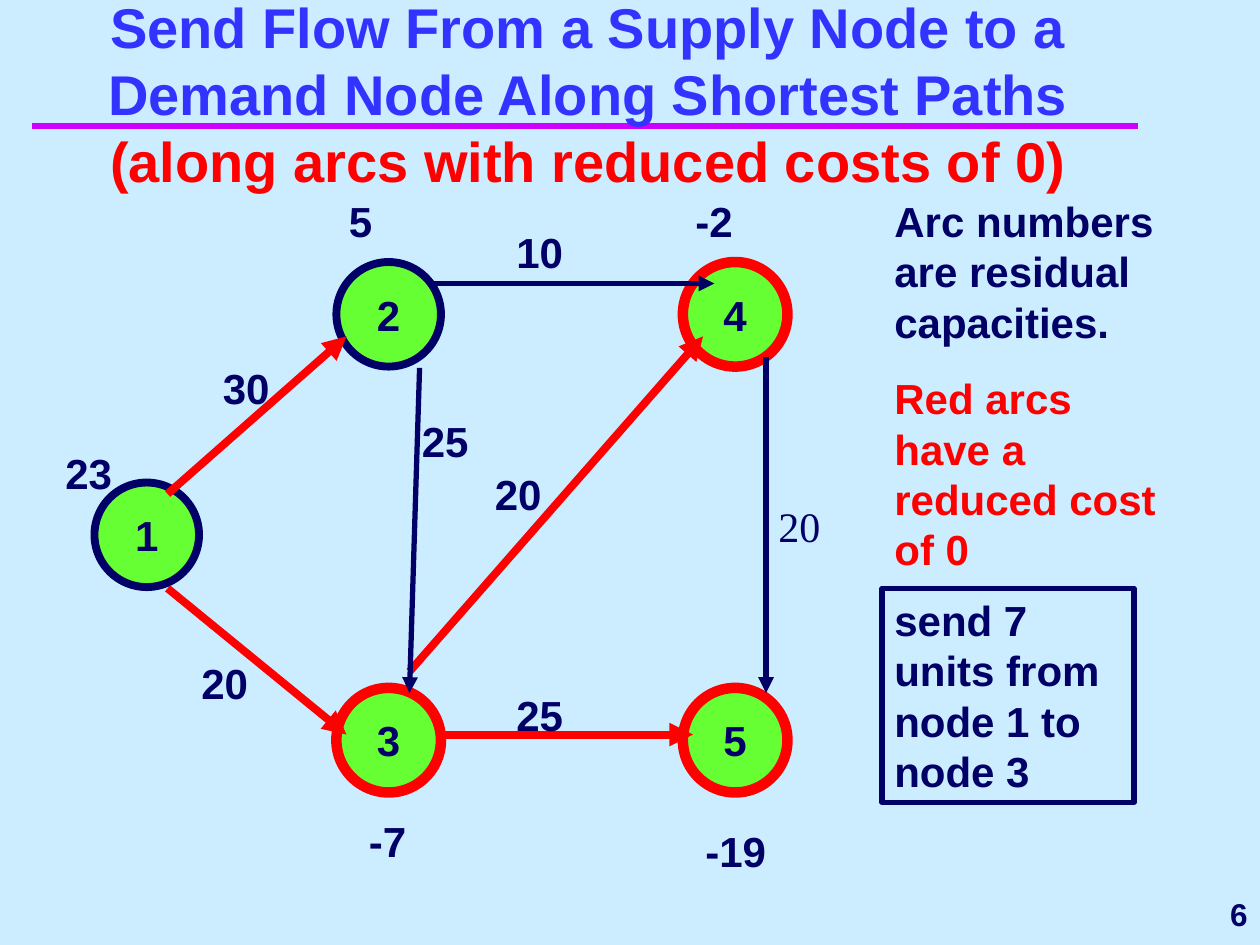
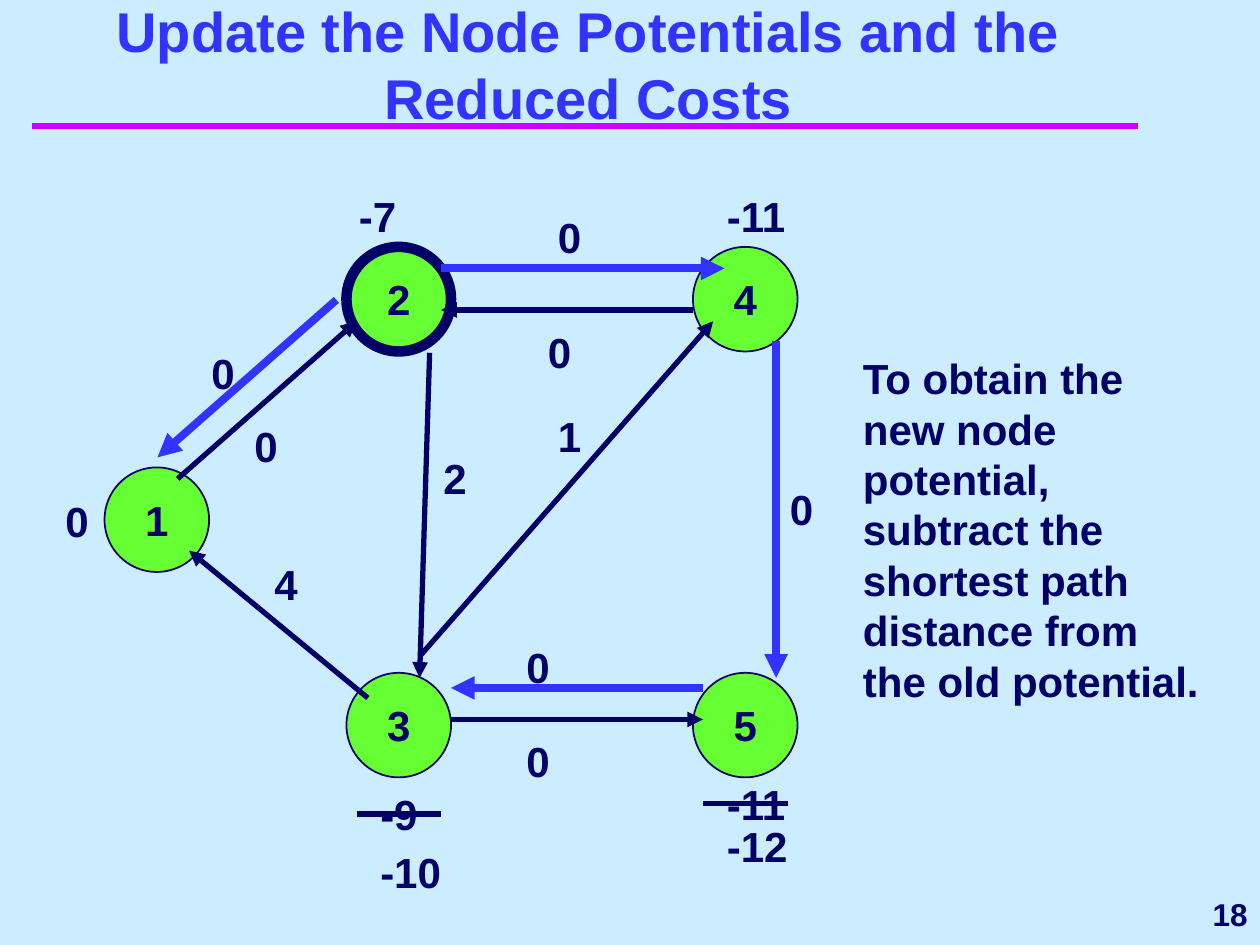
from dataclasses import dataclass

from lxml import etree
from pptx import Presentation
from pptx.dml.color import RGBColor
from pptx.enum import shapes, text
from pptx.oxml import ns
from pptx.util import Inches, Pt

COLORS = {
    "background": "CCECFF",
    "band": "CC00FF",
    "blue": "3333FF",
    "navy": "000066",
    "red": "FF0000",
    "green": "66FF33",
}
FONT = "Arial"
NODE_SIZE = 0.83
LABEL_HEIGHT = 0.5

# The network layout shared by both slides: node corners and arc ends
NODE_PLACES = {1: (0.75, 3.83), 2: (2.67, 2.08), 3: (2.67, 5.46),
               5: (5.42, 5.46), 4: (5.42, 2.08)}
ARC_PLACES = {
    (1, 2): (1.33, 3.92, 2.75, 2.67),
    (2, 4): (3.42, 2.25, 5.67, 2.25),
    (4, 5): (6.08, 2.83, 6.08, 5.5),
    (3, 4): (3.25, 5.33, 5.58, 2.67),
    (1, 3): (1.33, 4.67, 2.75, 5.83),
    (3, 5): (3.5, 5.83, 5.5, 5.83),
    (2, 3): (3.33, 2.92, 3.25, 5.5),
}


@dataclass
class Run:
    words: str
    color: str = "navy"


@dataclass
class Label:
    words: str
    left: float
    top: float
    width: float = 1.17
    font: str = FONT
    bold: bool = True


@dataclass
class Node:
    number: int
    color: str = "navy"
    weight: float = 1


@dataclass
class Line:
    ends: tuple[float, float, float, float]
    color: str = "navy"
    weight: float = 3
    arrow: bool = True


def rgb(name: str) -> RGBColor:
    return RGBColor.from_string(COLORS[name])


def shifted(ends: tuple, dx: float, dy: float) -> tuple:
    left, top, right, bottom = ends
    return left + dx, top + dy, right + dx, bottom + dy


def set_font(font, size: float, color: str, name: str = FONT, bold: bool = True) -> None:
    font.name, font.size, font.bold = name, Pt(size), bold
    font.color.rgb = rgb(color)


def draw_line(slide, line: Line) -> None:
    connector = slide.shapes.add_connector(
        shapes.MSO_CONNECTOR.STRAIGHT, *map(Inches, line.ends))
    connector.line.color.rgb = rgb(line.color)
    connector.line.width = Pt(line.weight)
    if line.arrow:
        etree.SubElement(connector.line._get_or_add_ln(), ns.qn("a:tailEnd"), type="triangle")
    etree.SubElement(connector._element.spPr, ns.qn("a:effectLst"))


def draw_node(slide, node: Node, dx: float, dy: float) -> None:
    left, top = NODE_PLACES[node.number]
    shape = slide.shapes.add_shape(
        shapes.MSO_SHAPE.OVAL, Inches(left + dx), Inches(top + dy),
        Inches(NODE_SIZE), Inches(NODE_SIZE))
    shape.shadow.inherit = False
    shape.fill.solid()
    shape.fill.fore_color.rgb = rgb("green")
    shape.line.color.rgb = rgb(node.color)
    shape.line.width = Pt(node.weight)
    frame = shape.text_frame
    frame.word_wrap = False
    frame.vertical_anchor = text.MSO_ANCHOR.MIDDLE
    paragraph = frame.paragraphs[0]
    paragraph.text = str(node.number)
    paragraph.alignment = text.PP_ALIGN.CENTER
    set_font(paragraph.font, 24, "navy")


def add_box(slide, left: float, top: float, width: float, height: float):
    box = slide.shapes.add_textbox(*map(Inches, (left, top, width, height)))
    box.text_frame.word_wrap = True
    return box


def draw_label(slide, label: Label) -> None:
    frame = add_box(slide, label.left, label.top, label.width, LABEL_HEIGHT).text_frame
    frame.auto_size = text.MSO_AUTO_SIZE.SHAPE_TO_FIT_TEXT
    paragraph = frame.paragraphs[0]
    paragraph.text = label.words
    set_font(paragraph.font, 24, "navy", label.font, label.bold)


def draw_note(slide, place: tuple, notes: list[Run], framed: bool = False) -> None:
    box = add_box(slide, *place)
    if framed:
        box.line.color.rgb = rgb("navy")
        box.line.width = Pt(3)
    frame = box.text_frame
    frame.auto_size = text.MSO_AUTO_SIZE.SHAPE_TO_FIT_TEXT
    for index, note in enumerate(notes):
        paragraph = frame.add_paragraph() if index else frame.paragraphs[0]
        if index:
            paragraph.space_before = Pt(15)
        paragraph.text = note.words
        set_font(paragraph.font, 24, note.color)


def start_slide(presentation, title: list[Run], title_top: float, number: int):
    slide = presentation.slides.add_slide(presentation.slide_layouts[6])
    draw_line(slide, Line((0.25, 1, 9.03, 1), "band", 4, arrow=False))

    # Page number
    frame = add_box(slide, 8.08, 7, 1.92, 0.5).text_frame
    frame.vertical_anchor = text.MSO_ANCHOR.MIDDLE
    paragraph = frame.paragraphs[0]
    paragraph.text = str(number)
    paragraph.alignment = text.PP_ALIGN.RIGHT
    set_font(paragraph.font, 18, "navy")

    # Title, growing upwards from its bottom edge
    frame = add_box(slide, 0.42, title_top, 8.5, 0.42).text_frame
    frame.vertical_anchor = text.MSO_ANCHOR.BOTTOM
    paragraph = frame.paragraphs[0]
    paragraph.alignment = text.PP_ALIGN.CENTER
    for part in title:
        run = paragraph.add_run()
        run.text = part.words
        set_font(run.font, 32, part.color)
    return slide


def draw_network(slide, nodes: list[Node], lines: list[Line], labels: list[Label],
                 dx: float = 0, dy: float = 0) -> None:
    for node in nodes:
        draw_node(slide, node, dx, dy)
    for line in lines:
        draw_line(slide, line)
    for label in labels:
        draw_label(slide, label)


def build_flow_slide(presentation) -> None:
    slide = start_slide(presentation, [
        Run("Send Flow From a Supply Node to a Demand Node Along Shortest Paths", "blue"),
        Run(" (along arcs with reduced costs of 0)", "red"),
    ], 1.17, 6)
    nodes = [Node(number, "navy", 4.5) if number in (1, 2) else Node(number, "red", 6)
             for number in NODE_PLACES]
    zero_cost_arcs = {(1, 2), (3, 4), (1, 3), (3, 5)}
    lines = [Line(ends, "red", 4.5) if arc in zero_cost_arcs else Line(ends)
             for arc, ends in ARC_PLACES.items()]
    capacities = [
        Label("10", 4, 1.75),
        Label("20", 6.08, 3.92, font="Times New Roman", bold=False),
        Label("20", 3.83, 3.67),
        Label("25", 4, 5.42),
        Label("25", 3.25, 3.25),
        Label("20", 1.5, 5.17, 0.67),
        Label("30", 1.67, 2.83),
    ]
    supplies = [Label(words, left, top, 0.75) for words, left, top in (
        ("23", 0.42, 3.5), ("5", 2.67, 1.5), ("-2", 5.42, 1.5),
        ("-7", 2.83, 6.42), ("-19", 5.5, 6.5))]
    draw_network(slide, nodes, lines, capacities + supplies)

    # Notes on the right
    draw_note(slide, (7, 4.67, 2, 1.7), [Run("send 7 units from node 1 to node 3")], framed=True)
    draw_note(slide, (7, 1.5, 2.42, 3.11), [
        Run("Arc numbers are residual capacities."),
        Run("Red arcs have a reduced cost of 0", "red"),
    ])


def build_potentials_slide(presentation) -> None:
    slide = start_slide(presentation, [
        Run("Update the Node Potentials and the Reduced Costs", "blue")], 0.67, 18)
    dx, dy = 0.08, -0.12
    nodes = [Node(number, weight=6 if number == 2 else 1) for number in NODE_PLACES]
    lines = [Line(shifted(ends, dx, dy), "blue", 4.5) if arc in {(2, 4), (4, 5)}
             else Line(shifted(ends, dx, dy))
             for arc, ends in ARC_PLACES.items() if arc != (1, 3)]
    # Arcs running the other way
    lines += [
        Line((2.92, 5.54, 1.5, 4.37)),
        Line((5.58, 5.46, 3.58, 5.46), "blue", 4.5),
        Line((2.67, 2.38, 1.25, 3.63), "blue", 4.5),
        Line((5.5, 2.46, 3.5, 2.46)),
    ]
    # Strokes through the old potentials
    lines += [Line((2.83, 6.46, 3.5, 6.46), arrow=False),
              Line((5.58, 6.38, 6.25, 6.38), arrow=False)]
    potentials = [
        Label("0", 0.42, 3.88, 0.67),
        Label("-7", 2.75, 1.46, 0.67),
        Label("-11", 5.67, 1.46, 0.92),
        Label("-12", 5.67, 6.46, 0.92),
        Label("-10", 2.92, 6.67),
        Label("-9", 2.92, 6.21, 0.67),
        Label("-11", 5.67, 6.13, 1.08),
    ]
    reduced_costs = [Label(words, left, top) for words, left, top in (
        ("0", 1.92, 3.29), ("4", 2.08, 4.38), ("0", 4.08, 5.79), ("1", 4.33, 3.21),
        ("2", 3.42, 3.54), ("0", 4.33, 1.63), ("0", 4.08, 5.04), ("0", 1.58, 2.71),
        ("0", 4.25, 2.54))]
    reduced_costs.append(Label("0", 6.17, 3.79, 0.42))
    draw_network(slide, nodes, lines, potentials + reduced_costs, dx, dy)
    draw_note(slide, (6.75, 2.75, 2.92, 2.9), [Run(
        "To obtain the new node potential, subtract the shortest path distance "
        "from the old potential.")])


def main() -> None:
    presentation = Presentation()
    presentation.slide_width, presentation.slide_height = Inches(10), Inches(7.5)
    fill = presentation.slide_master.background.fill
    fill.solid()
    fill.fore_color.rgb = rgb("background")
    build_flow_slide(presentation)
    build_potentials_slide(presentation)
    presentation.save("out.pptx")


if __name__ == "__main__":
    main()
